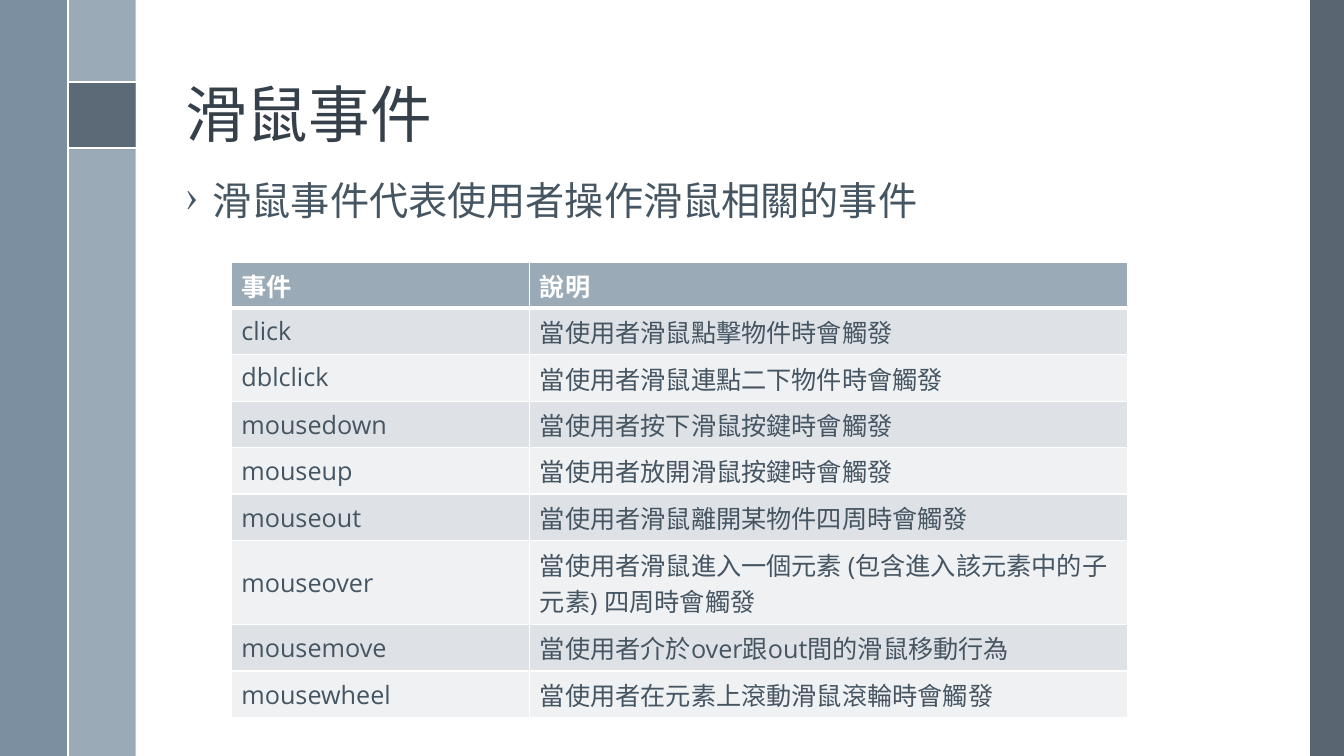
from pptx import Presentation
from pptx import util as u
from pptx.dml.color import RGBColor
from pptx.enum import shapes, text
from pptx.oxml import ns
from lxml import etree

Cm, Pt = u.Cm, u.Pt
WHITE = RGBColor(0xFF, 0xFF, 0xFF)
SLATE = RGBColor(0x47, 0x55, 0x62)
STEEL = RGBColor(0x6A, 0x80, 0x93)
MIST = RGBColor(0x9B, 0xAA, 0xB7)
TITLE = RGBColor(0x35, 0x40, 0x4A)
BODY = RGBColor(0x46, 0x55, 0x62)
BANDS = (RGBColor(0xDE, 0xE2, 0xE6), RGBColor(0xEF, 0xF1, 0xF3))
CJK, LATIN = "Noto Sans CJK TC", "Open Sans"

EVENTS = [
    ("事件", "說明"),
    ("click", "當使用者滑鼠點擊物件時會觸發"),
    ("dblclick", "當使用者滑鼠連點二下物件時會觸發"),
    ("mousedown", "當使用者按下滑鼠按鍵時會觸發"),
    ("mouseup", "當使用者放開滑鼠按鍵時會觸發"),
    ("mouseout", "當使用者滑鼠離開某物件四周時會觸發"),
    ("mouseover", "當使用者滑鼠進入一個元素 (包含進入該元素中的子元素) 四周時會觸發"),
    ("mousemove", "當使用者介於over跟out間的滑鼠移動行為"),
    ("mousewheel", "當使用者在元素上滾動滑鼠滾輪時會觸發"),
]


def add_xml(parent, tag, **attrs):
    return etree.SubElement(parent, ns.qn(tag), attrs)


def write(tf, content, size, color, font=CJK, bold=False, spacing=None,
          before=None, bullet=None, indent=0):
    tf.word_wrap = True
    p = tf.paragraphs[0]
    p.line_spacing = spacing
    p.space_before = before
    if bullet:
        pPr = p._p.get_or_add_pPr()
        pPr.set("marL", str(indent))
        pPr.set("indent", str(-indent))
        add_xml(pPr, "a:buChar", char=bullet)
    r = p.add_run()
    r.text = content
    r.font.size, r.font.bold = Pt(size), bold
    r.font.name = font
    r.font.color.rgb = color
    add_xml(r.font._element, "a:ea", typeface=CJK)


class Deck:
    def __init__(self, width, height):
        self.prs = Presentation()
        self.prs.slide_width, self.prs.slide_height = Cm(width), Cm(height)
        self.s = self.prs.slides.add_slide(self.prs.slide_layouts[6])

    def bar(self, x, y, w, h, color, opacity=100):
        sp = self.s.shapes.add_shape(shapes.MSO_SHAPE.RECTANGLE,
                                     Cm(x), Cm(y), Cm(w), Cm(h))
        sp.shadow.inherit = False
        sp.fill.solid()
        sp.fill.fore_color.rgb = color
        sp.line.fill.background()
        if opacity < 100:
            clr = sp.element.spPr.find(".//" + ns.qn("a:srgbClr"))
            add_xml(clr, "a:alpha", val=str(opacity * 1000))

    def rule(self, x1, y1, x2, y2):
        ln = self.s.shapes.add_connector(shapes.MSO_CONNECTOR.STRAIGHT,
                                         Cm(x1), Cm(y1), Cm(x2), Cm(y2))
        ln.line.color.rgb = WHITE
        ln.line.width = Pt(1.5)
        add_xml(ln.element.spPr, "a:effectLst")

    def text(self, x, y, w, h, content, anchor, **fmt):
        tf = self.s.shapes.add_textbox(Cm(x), Cm(y), Cm(w), Cm(h)).text_frame
        tf.vertical_anchor = anchor
        write(tf, content, **fmt)

    def cell(self, cell, content, fill, color, bold, top, bottom):
        write(cell.text_frame, content, 18, color, LATIN, bold)
        tcPr = cell._tc.get_or_add_tcPr()
        for side, width in zip("LRTB", (1, 1, top, bottom)):
            ln = add_xml(tcPr, "a:ln" + side, w=str(Pt(width)))
            add_xml(add_xml(ln, "a:solidFill"), "a:srgbClr", val=str(WHITE))
        cell.fill.solid()
        cell.fill.fore_color.rgb = fill

    def table(self, x, y, widths, heights, rows):
        tbl = self.s.shapes.add_table(len(rows), len(widths), Cm(x), Cm(y),
                                      Cm(sum(widths)), Cm(sum(heights))).table
        for col, w in zip(tbl.columns, widths):
            col.width = Cm(w)
        for i, (row, h) in enumerate(zip(rows, heights)):
            tbl.rows[i].height = Cm(h)
            head = i == 0
            for j, content in enumerate(row):
                c = tbl.cell(i, j)
                self.cell(c, content, MIST if head else BANDS[(i - 1) % 2],
                          WHITE if head else BODY, head,
                          top=3 if i == 1 else 1, bottom=3 if head else 1)
                if i > 2:
                    c.vertical_anchor = text.MSO_ANCHOR.MIDDLE


W, H = 33.87, 19.05
deck = Deck(W, H)

# Side bars and the square marker
BAR, LEFT, TOP = 1.7, 1.72, 2.06
deck.bar(33.02, 0, 0.85, H, SLATE, 90)
deck.bar(LEFT, 0, BAR, H, MIST)
deck.bar(0, 0, BAR, H, STEEL, 88)
deck.bar(LEFT, TOP, BAR, BAR, SLATE, 75)
for y in (TOP, TOP + BAR - 0.02):
    deck.rule(LEFT, y, LEFT + BAR, y)
deck.rule(LEFT, 0, LEFT, H)

# Title and bullet
deck.text(4.42, 0.48, 27.18, 3.45, "滑鼠事件", text.MSO_ANCHOR.BOTTOM,
          size=44, color=TITLE, spacing=0.9)
deck.text(4.42, 4.45, 27.18, 12.7, "滑鼠事件代表使用者操作滑鼠相關的事件",
          text.MSO_ANCHOR.TOP, size=28, color=BODY, spacing=0.9,
          before=Pt(14), bullet="›", indent=Cm(0.69))

# Event table: the mouseover row holds two lines
heights = [2.12 if name == "mouseover" else 1.17 for name, _ in EVENTS]
deck.table(5.83, 6.6, (7.52, 15.06), heights, EVENTS)

deck.prs.save("out.pptx")
